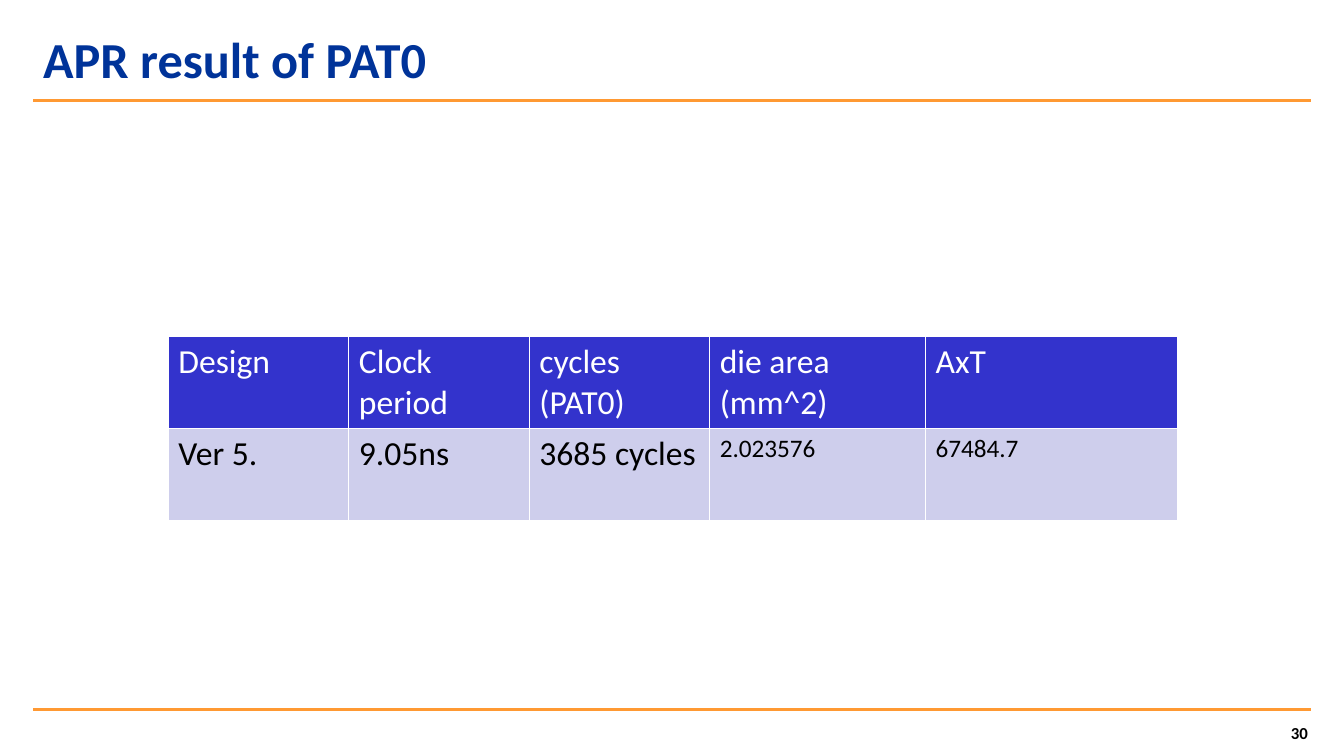
from dataclasses import dataclass

from lxml import etree
from pptx import Presentation
from pptx.dml.color import RGBColor
from pptx.enum.shapes import MSO_CONNECTOR
from pptx.enum.text import MSO_ANCHOR, PP_ALIGN
from pptx.oxml.ns import qn
from pptx.util import Inches, Pt

STRAIGHT = MSO_CONNECTOR.STRAIGHT
TOP, MIDDLE = MSO_ANCHOR.TOP, MSO_ANCHOR.MIDDLE
LEFT, RIGHT = PP_ALIGN.LEFT, PP_ALIGN.RIGHT


@dataclass(frozen=True)
class Theme:
    """Hold the colours, font and type sizes of the slide."""
    font: str = "Calibri"
    title: str = "003399"
    rule: str = "FF9933"
    head: str = "3333CC"
    body: str = "CECEEC"
    white: str = "FFFFFF"
    black: str = "000000"
    big: int = 36
    cell: int = 24
    small: int = 18
    foot: int = 12


class Deck:
    """Draw each kind of element on the current slide in one style."""

    def __init__(self, theme):
        self.theme = theme
        self.show = Presentation()
        self.show.slide_width = Inches(13.33)
        self.show.slide_height = Inches(7.5)
        self.slide = self.show.slides.add_slide(self.show.slide_layouts[6])

    def style(self, frame, size, color, bold=False):
        """Format every run of a text frame."""
        for para in frame.paragraphs:
            for run in para.runs:
                font = run.font
                font.name = self.theme.font
                font.size = Pt(size)
                font.bold = bold
                font.color.rgb = RGBColor.from_string(color)

    def rule(self, y):
        """Draw a level rule across the slide."""
        line = self.slide.shapes.add_connector(
            STRAIGHT, Inches(0.33), Inches(y), Inches(13), Inches(y))
        line.line.color.rgb = RGBColor.from_string(self.theme.rule)
        line.line.width = Pt(2.25)
        etree.SubElement(line.element.spPr, qn("a:effectLst"))

    def text(self, words, box, size, color, anchor=TOP, align=LEFT,
             inset=0.05, space=1.0):
        """Place a bold line of text in a box."""
        shape = self.slide.shapes.add_textbox(*map(Inches, box))
        frame = shape.text_frame
        frame.word_wrap = True
        frame.vertical_anchor = anchor
        frame.margin_top = Inches(inset)
        frame.text = words
        frame.paragraphs[0].alignment = align
        frame.paragraphs[0].line_spacing = space
        self.style(frame, size, color, True)

    def edge(self, cell):
        """Give a cell thin white borders on all sides."""
        props = cell._tc.get_or_add_tcPr()
        for spot, side in enumerate(("a:lnL", "a:lnR", "a:lnT", "a:lnB")):
            line = etree.Element(qn(side), w=str(Pt(1)))
            fill = etree.SubElement(line, qn("a:solidFill"))
            etree.SubElement(fill, qn("a:srgbClr"), val=self.theme.white)
            props.insert(spot, line)

    def table(self, rows, left, top, widths, height, small):
        """Add a table with a dark head row; late columns use small type."""
        look = self.theme
        grid = self.slide.shapes.add_table(
            len(rows), len(widths), Inches(left), Inches(top),
            Inches(sum(widths)), Inches(height * len(rows))).table
        for col, width in zip(grid.columns, widths):
            col.width = Inches(width)
        for r, row in enumerate(rows):
            shade, ink = (look.body, look.black) if r else (look.head, look.white)
            for c, words in enumerate(row):
                cell = grid.cell(r, c)
                cell.text_frame.text = words
                cell.fill.solid()
                cell.fill.fore_color.rgb = RGBColor.from_string(shade)
                size = look.small if r and c >= small else look.cell
                self.style(cell.text_frame, size, ink)
                self.edge(cell)


def main():
    """Build the slide and save it."""
    look = Theme()
    deck = Deck(look)
    for y in (7.04, 1):
        deck.rule(y)
    deck.text("APR result of PAT0", (0.33, 0.17, 12.67, 0.92), look.big,
              look.title, anchor=MIDDLE, space=0.85)
    deck.text("30", (10.29, 6.92, 2.78, 0.5), look.foot, look.black,
              align=RIGHT, inset=0.25)
    rows = [
        ["Design", "Clock period", "cycles (PAT0)", "die area (mm^2)", "AxT"],
        ["Ver 5.", "9.05ns", "3685 cycles", "2.023576", "67484.7"],
    ]
    deck.table(rows, 1.67, 3.34, [1.79, 1.79, 1.79, 2.14, 2.5], 0.91, small=3)
    deck.show.save("out.pptx")


if __name__ == "__main__":
    main()
